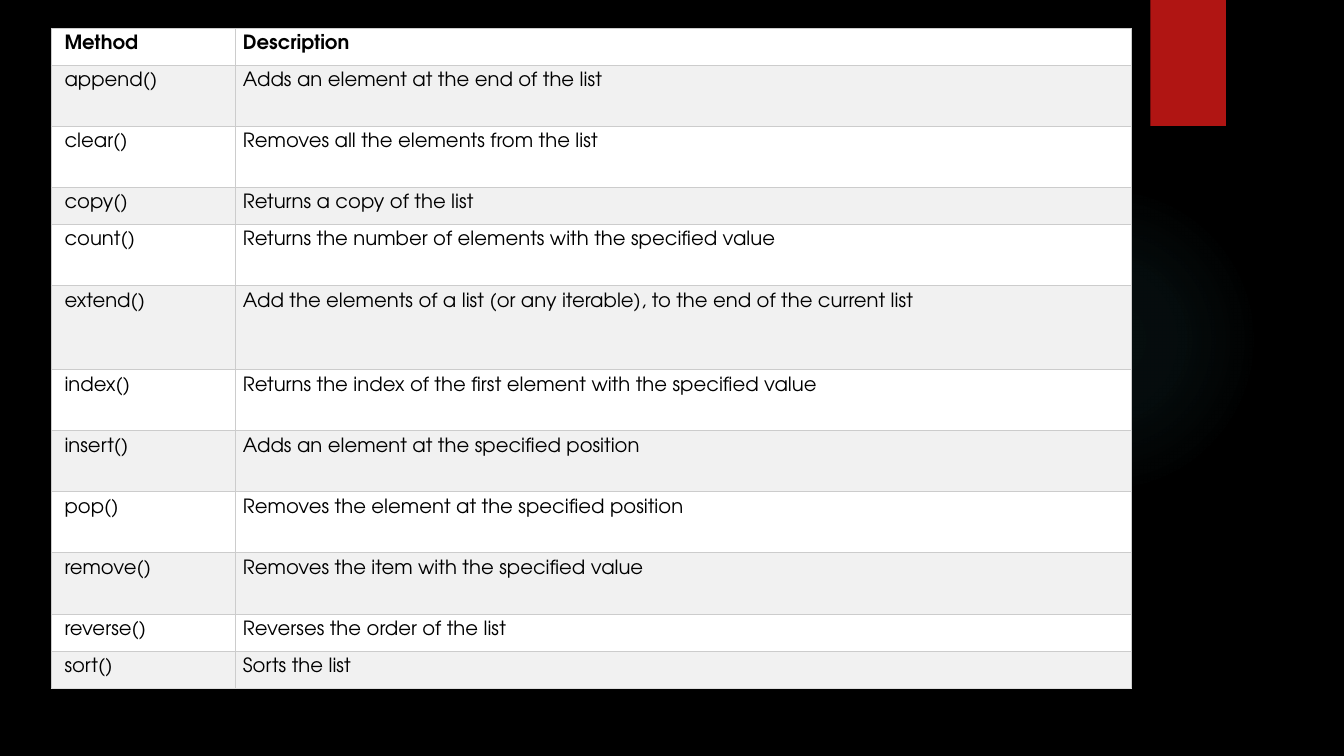
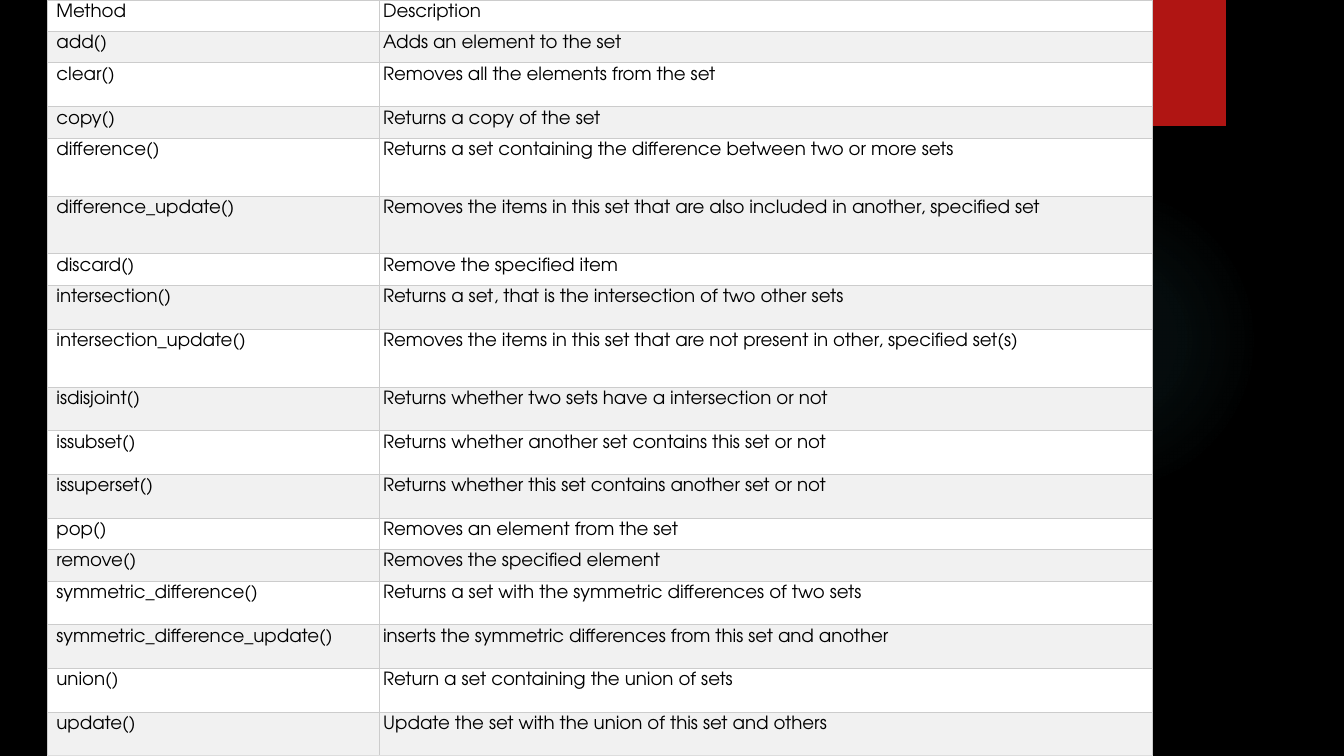
import pptx
import pptx.dml.color
import pptx.enum.shapes
import pptx.oxml
import pptx.oxml.ns
import pptx.util

Inches = pptx.util.Inches
Pt = pptx.util.Pt
RGB = pptx.dml.color.RGBColor
KIND = pptx.enum.shapes.MSO_SHAPE

BLACK = RGB(0x00, 0x00, 0x00)
WHITE = RGB(0xFF, 0xFF, 0xFF)
GREY = RGB(0xF1, 0xF1, 0xF1)
RULE = RGB(0xCC, 0xCC, 0xCC)
EDGE = RGB(0xDD, 0xDD, 0xDD)
RED = RGB(0xB0, 0x15, 0x13)
TEAL = RGB(0x50, 0xB9, 0xC1)
FONT = "TeX Gyre Adventor"

PLAIN = {"first_row": False, "horz_banding": False}

# Each row: method, description, relative height
LIST_ROWS = [
    ("Method", "Description", 0.37),
    ("append()", "Adds an element at the end of the list", 0.61),
    ("clear()", "Removes all the elements from the list", 0.61),
    ("copy()", "Returns a copy of the list", 0.37),
    ("count()", "Returns the number of elements with the specified value", 0.61),
    ("extend()", "Add the elements of a list (or any iterable), to the end of the current list", 0.84),
    ("index()", "Returns the index of the first element with the specified value", 0.61),
    ("insert()", "Adds an element at the specified position", 0.61),
    ("pop()", "Removes the element at the specified position", 0.61),
    ("remove()", "Removes the item with the specified value", 0.61),
    ("reverse()", "Reverses the order of the list", 0.37),
    ("sort()", "Sorts the list", 0.37),
]
SET_ROWS = [
    ("Method", "Description", 0.31),
    ("add()", "Adds an element to the set", 0.31),
    ("clear()", "Removes all the elements from the set", 0.43),
    ("copy()", "Returns a copy of the set", 0.31),
    ("difference()", "Returns a set containing the difference between two or more sets", 0.57),
    ("difference_update()", "Removes the items in this set that are also included in another, specified set", 0.57),
    ("discard()", "Remove the specified item", 0.31),
    ("intersection()", "Returns a set, that is the intersection of two other sets", 0.43),
    ("intersection_update()", "Removes the items in this set that are not present in other, specified set(s)", 0.57),
    ("isdisjoint()", "Returns whether two sets have a intersection or not", 0.43),
    ("issubset()", "Returns whether another set contains this set or not", 0.43),
    ("issuperset()", "Returns whether this set contains another set or not", 0.43),
    ("pop()", "Removes an element from the set", 0.31),
    ("remove()", "Removes the specified element", 0.31),
    ("symmetric_difference()", "Returns a set with the symmetric differences of two sets", 0.43),
    ("symmetric_difference_update()", "inserts the symmetric differences from this set and another", 0.43),
    ("union()", "Return a set containing the union of sets", 0.43),
    ("update()", "Update the set with the union of this set and others", 0.43),
]


def put(item, vals):
    """Set every attribute named in vals on item."""
    for name, val in vals.items():
        setattr(item, name, val)


def node(tag, attrs="", inner=""):
    """Make a drawing element from its tag, attributes and content."""
    space = pptx.oxml.ns.nsdecls("a")
    return pptx.oxml.parse_xml(f"<a:{tag} {space} {attrs}>{inner}</a:{tag}>")


def tint(color, alpha):
    return f'<a:srgbClr val="{color}"><a:alpha val="{alpha * 1000}"/></a:srgbClr>'


def add_shape(slide, kind, box, color):
    shape = slide.shapes.add_shape(kind, *map(Inches, box))
    shape.fill.solid()
    shape.fill.fore_color.rgb = color
    shape.line.fill.background()
    shape.shadow.inherit = False
    return shape


def add_glow(slide):
    """Draw the teal disc that fades towards its rim."""
    glow = add_shape(slide, KIND.OVAL, (9.41, 1.83, 3.08, 3.08), TEAL)
    stops = "".join(f'<a:gs pos="{pos * 1000}">{tint(TEAL, alpha)}</a:gs>'
                    for pos, alpha in ((0, 7), (36, 6), (69, 0)))
    rect = '<a:fillToRect l="50000" t="50000" r="50000" b="50000"/>'
    fade = node("gradFill", 'rotWithShape="1"',
                f'<a:gsLst>{stops}</a:gsLst><a:path path="circle">{rect}</a:path>')
    props = glow.element.spPr
    props.replace(props.find(pptx.oxml.ns.qn("a:solidFill")), fade)
    return glow


def add_flag(slide):
    """Draw the red flag with its soft shadow."""
    flag = add_shape(slide, KIND.RECTANGLE, (11.41, 0, 0.75, 1.25), RED)
    attrs = f'blurRad="{Pt(3)}" dist="{Pt(2)}" dir="5400000" rotWithShape="0"'
    effects = flag.element.spPr.find(pptx.oxml.ns.qn("a:effectLst"))
    effects.append(node("outerShdw", attrs, tint(BLACK, 45)))
    return flag


def style_master(prs, slide):
    """Give the master its background and move the decor onto it."""
    master = prs.slide_master
    master.background.fill.solid()
    master.background.fill.fore_color.rgb = BLACK
    for num, shape in enumerate((add_glow(slide), add_flag(slide)), 101):
        shape.element.nvSpPr.cNvPr.set("id", str(num))
        master.shapes.element.append(shape.element)


def fill_cell(cell, text, color, font, pads):
    cell.text = text
    cell.fill.solid()
    cell.fill.fore_color.rgb = color
    put(cell, pads)
    run = cell.text_frame.paragraphs[0].runs[0]
    put(run.font, font)
    run.font.color.rgb = BLACK


def add_rules(frame):
    """Rule every cell, with a lighter edge below the last row."""
    qn = pptx.oxml.ns.qn
    rows = list(frame.element.iter(qn("a:tr")))
    for row in rows:
        low = EDGE if row is rows[-1] else RULE
        sides = (("lnL", RULE), ("lnR", RULE), ("lnT", RULE), ("lnB", low))
        for props in row.iter(qn("a:tcPr")):
            for spot, (tag, color) in enumerate(sides):
                paint = f'<a:solidFill><a:srgbClr val="{color}"/></a:solidFill>'
                props.insert(spot, node(tag, f'w="{Pt(0.75)}"', paint))


def add_grid(slide, rows, box, first, size, pads, bold):
    """Add a table; first is the width of the method column."""
    left, top, width, height = box
    frame = slide.shapes.add_table(len(rows), 2, *map(Inches, box))
    table = frame.table
    put(table, PLAIN)
    for col, wide in zip(table.columns, (first, width - first)):
        col.width = Inches(wide)
    scale = height / sum(row[2] for row in rows)
    indent, pad = pads
    for num, (*texts, tall) in enumerate(rows):
        table.rows[num].height = Inches(tall * scale)
        font = {"name": FONT, "size": Pt(size), "bold": bold and num == 0}
        for col, text in enumerate(texts):
            edges = {"margin_left": Inches(pad if col else indent),
                     "margin_right": Inches(pad), "margin_top": Inches(pad),
                     "margin_bottom": Inches(pad - 0.02)}
            fill_cell(table.cell(num, col), text, GREY if num % 2 else WHITE, font, edges)
    add_rules(frame)


def main():
    prs = pptx.Presentation()
    put(prs, {"slide_width": Inches(13.33), "slide_height": Inches(7.5)})
    blank = prs.slide_layouts[6]
    lists, sets = (prs.slides.add_slide(blank) for _ in range(2))
    style_master(prs, lists)
    add_grid(lists, LIST_ROWS, (0.51, 0.28, 10.71, 6.55), 1.83, 14, (0.13, 0.07), True)
    add_grid(sets, SET_ROWS, (0.47, 0, 10.96, 7.5), 3.29, 13, (0.09, 0.04), False)
    prs.save("out.pptx")


if __name__ == "__main__":
    main()
